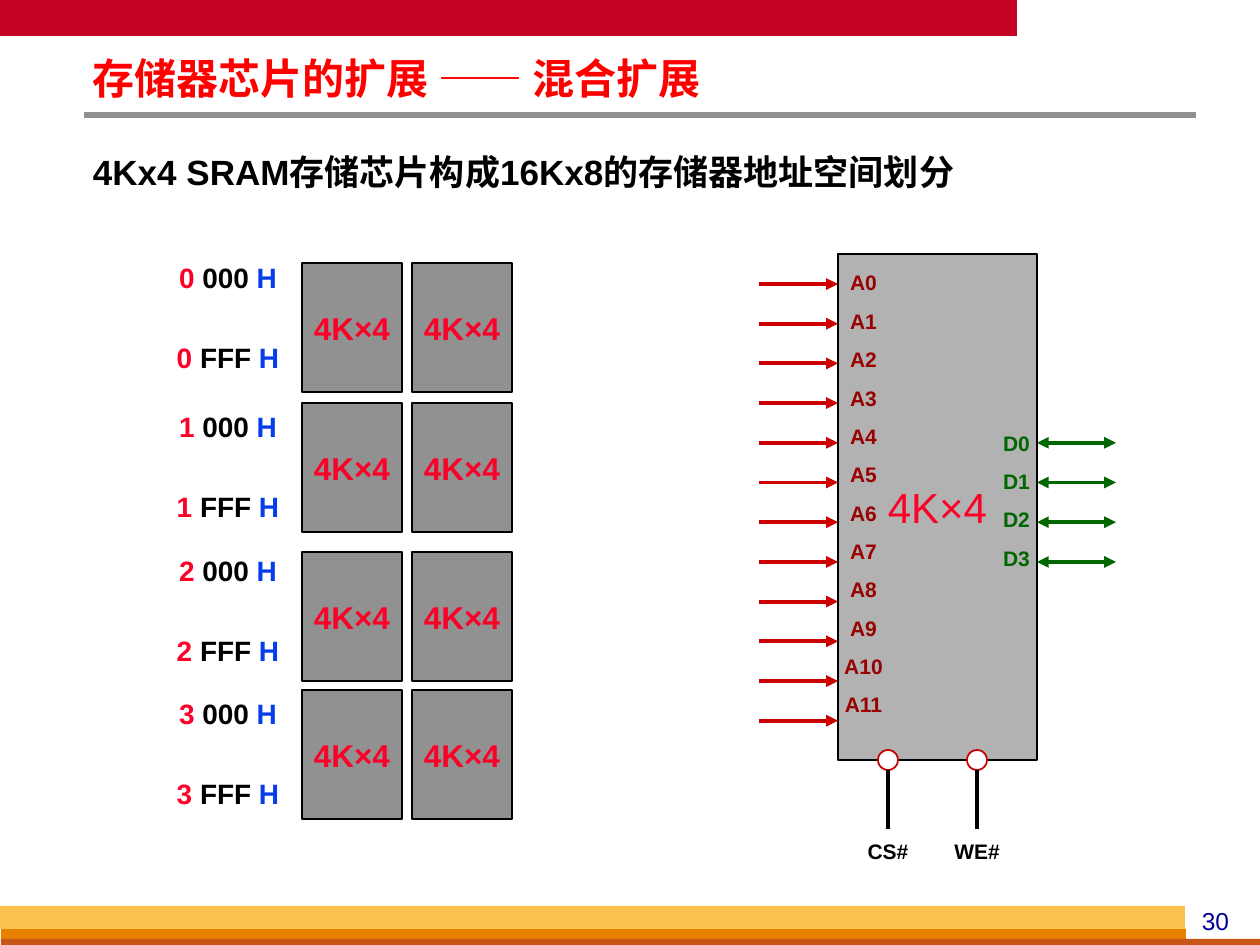
from pptx import Presentation, util as u
from pptx.dml.color import RGBColor
from pptx.enum import shapes, text
from pptx.oxml.ns import qn
from lxml import etree

# Content
TITLE = "存储器芯片的扩展 —— 混合扩展"
BODY = "4Kx4 SRAM存储芯片构成16Kx8的存储器地址空间划分"
CHIP = "4K×4"
PAGE_NUMBER = "30"
ADDRESS_PINS = [f"A{i}" for i in range(12)]
DATA_PINS = [f"D{i}" for i in range(4)]
CONTROL_PINS = [("CS#", 888), ("WE#", 977)]  # name, centre x
BANKS = [("0", 263, 254), ("1", 403, 403), ("2", 552, 547), ("3", 690, 690)]  # digit, chip top, label top
RANGE_ENDS = ["000 ", "FFF "]


class Theme:
    latin, cjk = "Arial", "Noto Sans CJK SC"
    white, black, title = "FFFFFF", "000000", "FF0000"
    band, rule, number = "C30224", "919191", "000099"
    footer = ["E88000", "C95616", "FCC24F"]
    chip, memory, accent, suffix = "B2B2B2", "919191", "FC0128", "063DE8"
    address, address_text, data = "CC0000", "990000", "006600"
    title_size, body_size, chip_size, memory_size = 24, 20, 24, 18
    range_size, number_size, pin_size = 16, 14, 12
    outline, wire, rule_width = 1, 2.25, 3


def px(value):
    return u.Emu(round(value * 914400 / 126))


def rgb(color):
    return RGBColor.from_string(color)


def style(paragraph, size, color, bold=False, align=text.PP_ALIGN.CENTER, font=Theme.latin):
    paragraph.alignment = align
    paragraph.font.name = font
    paragraph.font.size = u.Pt(size)
    paragraph.font.bold = bold
    paragraph.font.color.rgb = rgb(color)


def set_insets(frame, left, top, right, bottom):
    frame.margin_left, frame.margin_top = px(left), px(top)
    frame.margin_right, frame.margin_bottom = px(right), px(bottom)


def add_box(left, top, width, height, fill, line=None, kind=shapes.MSO_SHAPE.RECTANGLE):
    shape = slide.shapes.add_shape(kind, px(left), px(top), px(width), px(height))
    shape.shadow.inherit = False
    shape.fill.solid()
    shape.fill.fore_color.rgb = rgb(fill)
    if line:
        shape.line.color.rgb = rgb(line)
        shape.line.width = u.Pt(Theme.outline)
    else:
        shape.line.fill.background()
    return shape


def add_chip(left, top, width, height, fill, size, bold):
    frame = add_box(left, top, width, height, fill, Theme.black).text_frame
    frame.word_wrap = False
    frame.vertical_anchor = text.MSO_ANCHOR.MIDDLE
    frame.text = CHIP
    style(frame.paragraphs[0], size, Theme.accent, bold)


def add_line(x1, y1, x2, y2, color, width, ends=()):
    line = slide.shapes.add_connector(shapes.MSO_CONNECTOR.STRAIGHT, px(x1), px(y1), px(x2), px(y2))
    line.line.color.rgb = rgb(color)
    line.line.width = u.Pt(width)
    for end in ends:
        etree.SubElement(line.line._get_or_add_ln(), qn(f"a:{end}"), type="triangle")
    etree.SubElement(line._element.spPr, qn("a:effectLst"))


def add_text(left, top, width, height, lines, size, color, bold=True, gap=0):
    """Each line is a list of (text, colour or None) runs; gap separates the lines."""
    frame = slide.shapes.add_textbox(px(left), px(top), px(width), px(height)).text_frame
    frame.word_wrap = True
    for index, runs in enumerate(lines):
        paragraph = frame.add_paragraph() if index else frame.paragraphs[0]
        style(paragraph, size, color, bold)
        if index:
            paragraph.space_before = u.Pt(gap)
        for words, run_color in runs:
            run = paragraph.add_run()
            run.text = words
            if run_color:
                run.font.color.rgb = rgb(run_color)
    return frame


def fill_placeholder(shape, box, words, size, color, font):
    shape.left, shape.top, shape.width, shape.height = map(px, box)
    frame = shape.text_frame
    frame.auto_size = text.MSO_AUTO_SIZE.NONE
    frame.vertical_anchor = text.MSO_ANCHOR.TOP
    set_insets(frame, 9, 4, 9, 4)
    frame.text = words
    paragraph = frame.paragraphs[0]
    style(paragraph, size, color, True, text.PP_ALIGN.LEFT, font)
    paragraph.space_before = u.Pt(0)
    properties = paragraph.runs[0]._r.get_or_add_rPr()
    etree.SubElement(properties, qn("a:ea"), typeface=Theme.cjk)
    return paragraph


def plain(names):
    return [[(name, None)] for name in names]


presentation = Presentation()
presentation.slide_width, presentation.slide_height = px(1260), px(945)
slide = presentation.slides.add_slide(presentation.slide_layouts[1])

# Frame of the slide
add_box(0, 0, 1017, 36, Theme.band)
add_line(84, 115, 1196, 115, Theme.rule, Theme.rule_width)
for box, color in zip([(1, 929, 1185, 10), (1, 939, 1259, 6), (0, 906, 1185, 23)], Theme.footer):
    add_box(*box, color)
add_text(1176, 900, 79, 42, plain([PAGE_NUMBER]), Theme.number_size, Theme.number, False)

# Title and statement
title = fill_placeholder(slide.shapes.title, (84, 55, 953, 52), TITLE,
                         Theme.title_size, Theme.title, Theme.cjk)
title.line_spacing = 0.87
body = fill_placeholder(slide.placeholders[1], (84, 146, 1101, 49), BODY,
                        Theme.body_size, Theme.black, Theme.latin)
body_properties = body._p.get_or_add_pPr()
body_properties.set("marL", "0")
body_properties.set("indent", "0")
body_properties.insert_element_before(etree.Element(qn("a:buNone")), "a:tabLst", "a:defRPr", "a:extLst")

# Chip with its address and data pins
CHIP_LEFT, CHIP_TOP, CHIP_WIDTH, CHIP_HEIGHT = 838, 254, 199, 506
CHIP_RIGHT, CHIP_BOTTOM = CHIP_LEFT + CHIP_WIDTH, CHIP_TOP + CHIP_HEIGHT
WIRE, FIRST_WIRE, WIRE_PITCH, FIRST_DATA_ROW, PIN_GAP = 79, 284, 39.7, 4, 7.5
add_chip(CHIP_LEFT, CHIP_TOP, CHIP_WIDTH, CHIP_HEIGHT, Theme.chip, Theme.chip_size, False)
for row in range(len(ADDRESS_PINS)):
    y = FIRST_WIRE + row * WIRE_PITCH
    add_line(CHIP_LEFT - WIRE, y, CHIP_LEFT, y, Theme.address, Theme.wire, ["tailEnd"])
    if 0 <= row - FIRST_DATA_ROW < len(DATA_PINS):
        add_line(CHIP_RIGHT, y, CHIP_RIGHT + WIRE, y, Theme.data, Theme.wire, ["headEnd", "tailEnd"])
address_frame = add_text(CHIP_LEFT, 265, 59, 474, plain(ADDRESS_PINS), Theme.pin_size,
                         Theme.address_text, gap=PIN_GAP)
set_insets(address_frame, 5, 5, 13, 5)
add_text(977, 424, 79, 158, plain(DATA_PINS), Theme.pin_size, Theme.data, gap=PIN_GAP)

# Control pins, active low
RADIUS = 10
for name, x in CONTROL_PINS:
    add_box(x - RADIUS, CHIP_BOTTOM - RADIUS, 2 * RADIUS, 2 * RADIUS, Theme.white, Theme.address,
            shapes.MSO_SHAPE.OVAL)
    add_line(x, CHIP_BOTTOM + RADIUS, x, 829, Theme.black, Theme.wire)
    add_text(x - 40, 832, 80, 38, plain([name]), Theme.pin_size, Theme.black)

# Memory banks with their address ranges
for digit, chip_top, label_top in BANKS:
    for left in (302, 412):
        add_chip(left, chip_top, 100, 129, Theme.memory, Theme.memory_size, True)
    ranges = [[(digit + " ", Theme.accent), (end, None), ("H", Theme.suffix)] for end in RANGE_ENDS]
    add_text(154, label_top, 148, 134, ranges, Theme.range_size, Theme.black, gap=26.5)

presentation.save("out.pptx")
